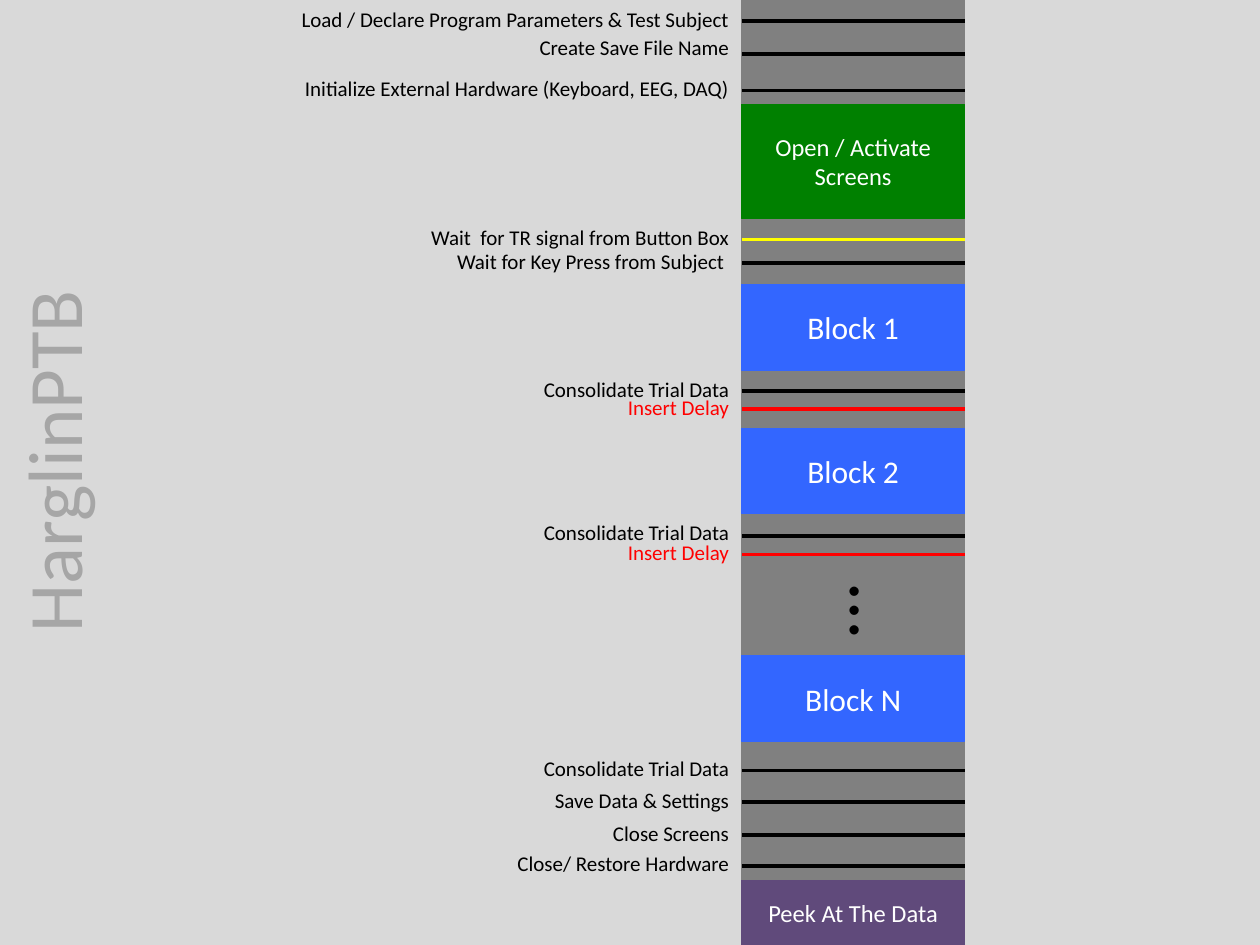
"""Build a program timeline slide with blocks, step lines and labels."""
from lxml import etree
from pptx import Presentation
from pptx.dml.color import RGBColor
from pptx.enum.shapes import MSO_CONNECTOR, MSO_SHAPE
from pptx.enum.text import MSO_ANCHOR, PP_ALIGN
from pptx.oxml.ns import qn
from pptx.util import Cm, Pt

RECTANGLE = MSO_SHAPE.RECTANGLE
STRAIGHT = MSO_CONNECTOR.STRAIGHT
TOP, MIDDLE = MSO_ANCHOR.TOP, MSO_ANCHOR.MIDDLE
LEFT, CENTER, RIGHT = PP_ALIGN.LEFT, PP_ALIGN.CENTER, PP_ALIGN.RIGHT

BLACK, WHITE, RED, YELLOW = "000000", "FFFFFF", "FF0000", "FFFF00"
GRAY, BLUE, GREEN, PURPLE = "808080", "3366FF", "008000", "604A7B"
SLIDE_WIDTH, SLIDE_HEIGHT = 25.4, 19.05
COLUMN_LEFT, COLUMN_WIDTH = 14.95, 4.5
LABEL_HEIGHT = 0.79


def color(value):
    return RGBColor.from_string(value)


def write(shape, text, size, text_color, alignment, anchor=TOP):
    frame = shape.text_frame
    frame.word_wrap = True
    frame.vertical_anchor = anchor
    paragraph = frame.paragraphs[0]
    paragraph.alignment = alignment
    run = paragraph.add_run()
    run.text = text
    run.font.name = "Calibri"
    run.font.size = Pt(size)
    run.font.color.rgb = color(text_color)


presentation = Presentation()
presentation.slide_width = Cm(SLIDE_WIDTH)
presentation.slide_height = Cm(SLIDE_HEIGHT)
slide = presentation.slides.add_slide(presentation.slide_layouts[6])
slide.background.fill.solid()
slide.background.fill.fore_color.rgb = color("D9D9D9")

blocks = [
    ("", 0, SLIDE_HEIGHT, GRAY, 18),
    ("Open / Activate Screens", 2.11, 2.29, GREEN, 14),
    ("Block 1", 5.74, 1.72, BLUE, 18),
    ("Block 2", 8.64, 1.72, BLUE, 18),
    ("Block N", 13.22, 1.72, BLUE, 18),
    ("Peek At The Data", 17.75, 1.3, PURPLE, 14),
]
for text, top, height, fill, size in blocks:
    shape = slide.shapes.add_shape(
        RECTANGLE, Cm(COLUMN_LEFT), Cm(top), Cm(COLUMN_WIDTH), Cm(height))
    shape.shadow.inherit = False
    shape.fill.solid()
    shape.fill.fore_color.rgb = color(fill)
    shape.line.color.rgb = color(fill)
    shape.line.width = Pt(0.75)
    if text:
        write(shape, text, size, WHITE, CENTER, MIDDLE)

steps = [
    ("Load / Declare Program Parameters & Test Subject", 0, 11.18, BLACK, 0.42, BLACK),
    ("Create Save File Name", 0.58, 6.1, BLACK, 1.09, BLACK),
    ("Initialize External Hardware (Keyboard, EEG, DAQ)", 1.4, 10.54, BLACK, 1.82, BLACK),
    ("Wait  for TR signal from Button Box", 4.4, 8.46, BLACK, 4.83, YELLOW),
    ("Wait for Key Press from Subject ", 4.88, 7.8, BLACK, 5.3, BLACK),
    ("Consolidate Trial Data", 7.47, 5.28, BLACK, 7.88, BLACK),
    ("Insert Delay", 7.82, 7.8, RED, 8.25, RED),
    ("Consolidate Trial Data", 10.35, 5.28, BLACK, 10.81, BLACK),
    ("Insert Delay", 10.75, 7.8, RED, 11.18, RED),
    ("Consolidate Trial Data", 15.11, 5.28, BLACK, 15.53, BLACK),
    ("Save Data & Settings", 15.75, 5.28, BLACK, 16.17, BLACK),
    ("Close Screens", 16.41, 5.28, BLACK, 16.83, BLACK),
    ("Close/ Restore Hardware", 17.02, 7.04, BLACK, 17.46, BLACK),
]
for text, top, width, text_color, line_y, line_color in steps:
    connector = slide.shapes.add_connector(
        STRAIGHT, Cm(COLUMN_LEFT + COLUMN_WIDTH), Cm(line_y), Cm(COLUMN_LEFT), Cm(line_y))
    connector.line.color.rgb = color(line_color)
    connector.line.width = Pt(2)
    etree.SubElement(connector.element.spPr, qn("a:effectLst"))
    label = slide.shapes.add_textbox(
        Cm(COLUMN_LEFT - width), Cm(top), Cm(width), Cm(LABEL_HEIGHT))
    write(label, text, 12, text_color, RIGHT)

rotated_texts = [
    ("…", 16.2, 10.13, 1.22, 4.01, 90, BLACK),
    ("HarglinPTB", -2.87, 8.01, 7.84, 2.13, 270, "A6A6A6"),
]
for text, left, top, width, height, rotation, text_color in rotated_texts:
    box = slide.shapes.add_textbox(Cm(left), Cm(top), Cm(width), Cm(height))
    box.rotation = rotation
    write(box, text, 44, text_color, LEFT)

presentation.save("out.pptx")
